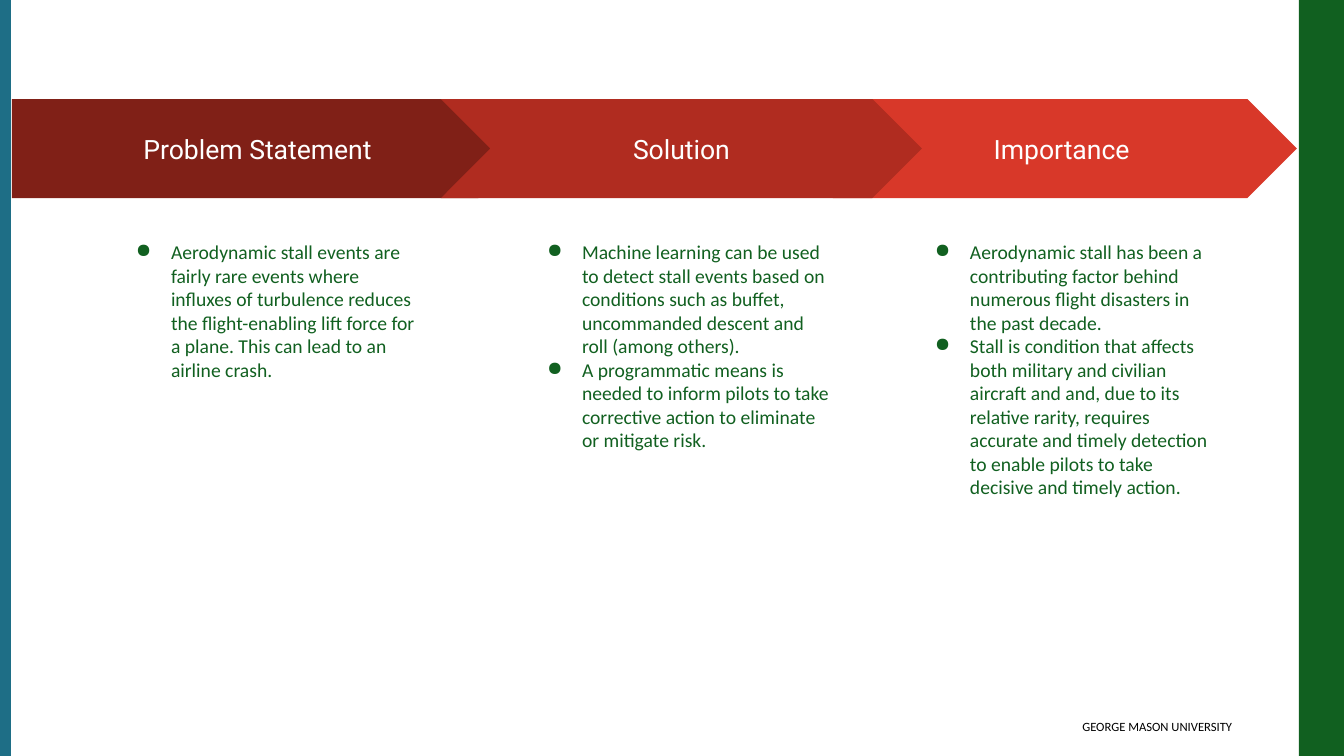
from lxml import etree
from pptx import Presentation
from pptx.dml.color import RGBColor
from pptx.enum.shapes import MSO_SHAPE
from pptx.enum.text import MSO_ANCHOR, PP_ALIGN
from pptx.oxml.ns import qn
from pptx.util import Emu, Pt

RECT, PENTAGON, CHEVRON = MSO_SHAPE.RECTANGLE, MSO_SHAPE.PENTAGON, MSO_SHAPE.CHEVRON
TOP, MIDDLE = MSO_ANCHOR.TOP, MSO_ANCHOR.MIDDLE
LEFT, CENTER, RIGHT = PP_ALIGN.LEFT, PP_ALIGN.CENTER, PP_ALIGN.RIGHT

# Content
GREEN, TEAL, WHITE, BLACK = "116020", "1E6E86", "FFFFFF", "000000"
FOOTER = "GEORGE MASON UNIVERSITY"
# From back to front: each arrow's left, top and width, then its text's left and width
STAGES = [
    {"title": "Importance ", "outline": CHEVRON, "color": "D83829",
     "arrow": (833, 99, 464), "column": (907, 315),
     "points": [
         "Aerodynamic stall has been a contributing factor behind numerous flight "
         "disasters in the past decade.",
         "Stall is condition that affects both military and civilian aircraft and and, "
         "due to its relative rarity, requires accurate and timely detection to enable "
         "pilots to take decisive and timely action."]},
    {"title": "Problem Statement", "outline": PENTAGON, "color": "802017",
     "arrow": (12, 99, 516), "column": (108, 326),
     "points": [
         "Aerodynamic stall events are fairly rare events where influxes of turbulence "
         "reduces the flight-enabling lift force for a plane. This can lead to an "
         "airline crash."]},
    {"title": "Solution", "outline": CHEVRON, "color": "B02C20",
     "arrow": (441, 99, 481), "column": (519, 326),
     "points": [
         "Machine learning can be used to detect stall events based on conditions such "
         "as buffet, uncommanded descent and roll (among others).",
         "A programmatic means is needed to inform pilots to take corrective action to "
         "eliminate or mitigate risk."]},
]

# Layout in px
SLIDE_W, SLIDE_H = 1344, 756
ARROW_H = 99
COLUMN_TOP, COLUMN_H = 227, 384
INSET, INDENT, HANGING = 13, 50, 35
TITLE_FONT = {"size": Pt(19), "name": "Roboto"}
POINT_FONT = {"size": Pt(14), "name": "Calibri"}
FOOTER_FONT = {"size": Pt(9), "name": "Calibri"}


def px(length):
    return Emu(round(length * 914400 / 100.8))


def rgb(color):
    return RGBColor.from_string(color)


def add_block(slide, outline, box, color):
    block = slide.shapes.add_shape(outline, *map(px, box))
    block.shadow.inherit = False
    block.fill.solid()
    block.fill.fore_color.rgb = rgb(color)
    block.line.fill.background()
    return block


def add_bullet(paragraph, color):
    properties = paragraph._p.get_or_add_pPr()
    properties.set("marL", str(px(INDENT)))
    properties.set("indent", str(-px(HANGING)))
    bullet_color = etree.SubElement(properties, qn("a:buClr"))
    etree.SubElement(bullet_color, qn("a:srgbClr"), val=color)
    etree.SubElement(properties, qn("a:buChar"), char="●")


def write(frame, lines, font, color, align, anchor, insets, bulleted=False):
    left, top, right, bottom = map(px, insets)
    layout = {"word_wrap": True, "vertical_anchor": anchor, "margin_left": left,
              "margin_top": top, "margin_right": right, "margin_bottom": bottom}
    for name, value in layout.items():
        setattr(frame, name, value)
    for index, line in enumerate(lines):
        paragraph = frame.add_paragraph() if index else frame.paragraphs[0]
        paragraph.alignment = align
        if bulleted:
            add_bullet(paragraph, color)
        run = paragraph.add_run()
        run.text = line
        for name, value in font.items():
            setattr(run.font, name, value)
        run.font.color.rgb = rgb(color)


def main():
    deck = Presentation()
    deck.slide_width, deck.slide_height = px(SLIDE_W), px(SLIDE_H)
    slide = deck.slides.add_slide(deck.slide_layouts[6])

    # Side bands
    add_block(slide, RECT, (1299, 0, 45, SLIDE_H), GREEN)
    add_block(slide, RECT, (0, 0, 11, SLIDE_H), TEAL)

    # Footer
    footer = slide.shapes.add_textbox(*map(px, (683, 714, 549, 33)))
    write(footer.text_frame, [FOOTER], FOOTER_FONT, BLACK, RIGHT, TOP, (10, 5, 0, 5))

    # Arrows with their columns of points
    insets = (INSET,) * 4
    for stage in STAGES:
        arrow = add_block(slide, stage["outline"], (*stage["arrow"], ARROW_H), stage["color"])
        write(arrow.text_frame, [stage["title"]], TITLE_FONT, WHITE, CENTER, MIDDLE, insets)
        left, width = stage["column"]
        column = slide.shapes.add_textbox(*map(px, (left, COLUMN_TOP, width, COLUMN_H)))
        write(column.text_frame, stage["points"], POINT_FONT, GREEN, LEFT, TOP, insets,
              bulleted=True)

    deck.save("out.pptx")


if __name__ == "__main__":
    main()
